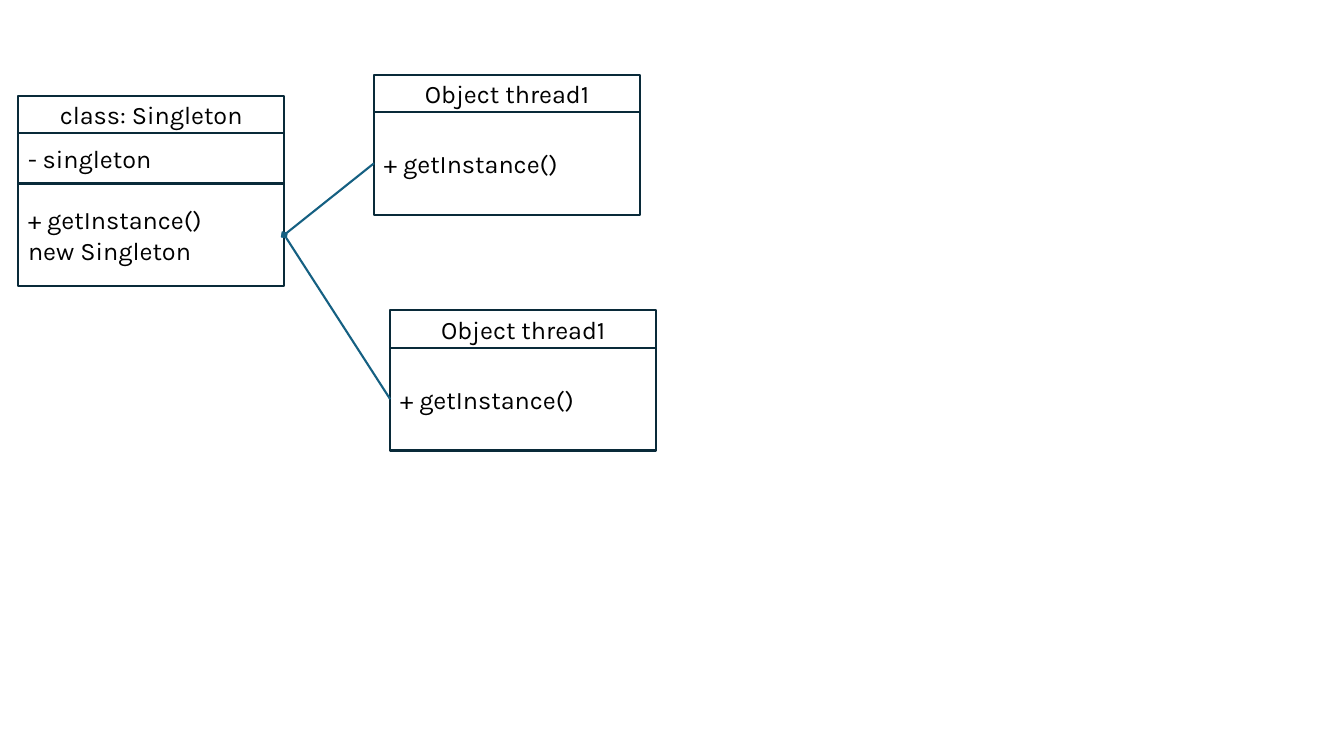
import pptx
import pptx.util
import pptx.dml.color
import pptx.enum.shapes
import pptx.enum.text
import pptx.oxml.ns
from lxml import etree

BORDER = pptx.dml.color.RGBColor(0x09, 0x2A, 0x39)
LINK = pptx.dml.color.RGBColor(0x15, 0x60, 0x82)
TEXT = pptx.dml.color.RGBColor(0, 0, 0)
FONT = "Karla"
TEXT_SIZE = pptx.util.Pt(18)
STROKE = pptx.util.Pt(1.5)

SLIDE_WIDTH, SLIDE_HEIGHT = 13.33, 7.5
CLASS_WIDTH = 2.64
TITLE_ROW, FIELD_ROW, METHOD_ROW = 0.37, 0.5, 1.02

# Each class: left, top, and compartments as (row height, lines)
SINGLETON = (0.18, 0.95, [
    (TITLE_ROW, ["class: Singleton"]),
    (FIELD_ROW, ["- singleton"]),
    (METHOD_ROW, ["+ getInstance()", "new Singleton"]),
])
THREAD_ROWS = [
    (TITLE_ROW, ["Object thread1"]),
    (METHOD_ROW, ["+ getInstance()"]),
]
THREADS = [(3.71, 0.74, THREAD_ROWS), (3.87, 3.08, THREAD_ROWS)]

LEFT_SIDE, RIGHT_SIDE = 1, 3


def add_compartment(slide, left, top, height, lines, alignment):
    box = slide.shapes.add_shape(
        pptx.enum.shapes.MSO_SHAPE.RECTANGLE,
        *map(pptx.util.Inches, (left, top, CLASS_WIDTH, height)))
    box.shadow.inherit = False
    box.fill.background()
    box.line.color.rgb = BORDER
    box.line.width = STROKE
    frame = box.text_frame
    frame.word_wrap = True
    frame.vertical_anchor = pptx.enum.text.MSO_ANCHOR.MIDDLE
    for index, line in enumerate(lines):
        paragraph = frame.add_paragraph() if index else frame.paragraphs[0]
        paragraph.alignment = alignment
        run = paragraph.add_run()
        run.text = line
        run.font.name = FONT
        run.font.size = TEXT_SIZE
        run.font.color.rgb = TEXT
    return box


def add_class(slide, left, top, rows):
    """Stack the compartments and return the last one, which holds the methods."""
    for index, (height, lines) in enumerate(rows):
        alignment = (pptx.enum.text.PP_ALIGN.LEFT if index
                     else pptx.enum.text.PP_ALIGN.CENTER)
        compartment = add_compartment(slide, left, top, height, lines, alignment)
        top += height
    return compartment


def add_aggregation(slide, part, whole):
    """Join two method compartments, with the diamond at the whole."""
    link = slide.shapes.add_connector(
        pptx.enum.shapes.MSO_CONNECTOR.STRAIGHT, 0, 0, 0, 0)
    link.begin_connect(part, LEFT_SIDE)
    link.end_connect(whole, RIGHT_SIDE)
    link.line.color.rgb = LINK
    link.line.width = STROKE
    qn = pptx.oxml.ns.qn
    etree.SubElement(link.line._get_or_add_ln(), qn("a:tailEnd"), type="diamond")
    etree.SubElement(link._element.spPr, qn("a:effectLst"))


def main():
    deck = pptx.Presentation()
    deck.slide_width = pptx.util.Inches(SLIDE_WIDTH)
    deck.slide_height = pptx.util.Inches(SLIDE_HEIGHT)
    slide = deck.slides.add_slide(deck.slide_layouts[6])
    singleton_methods = add_class(slide, *SINGLETON)
    for thread in THREADS:
        thread_methods = add_class(slide, *thread)
        add_aggregation(slide, thread_methods, singleton_methods)
    deck.save("out.pptx")


if __name__ == "__main__":
    main()
